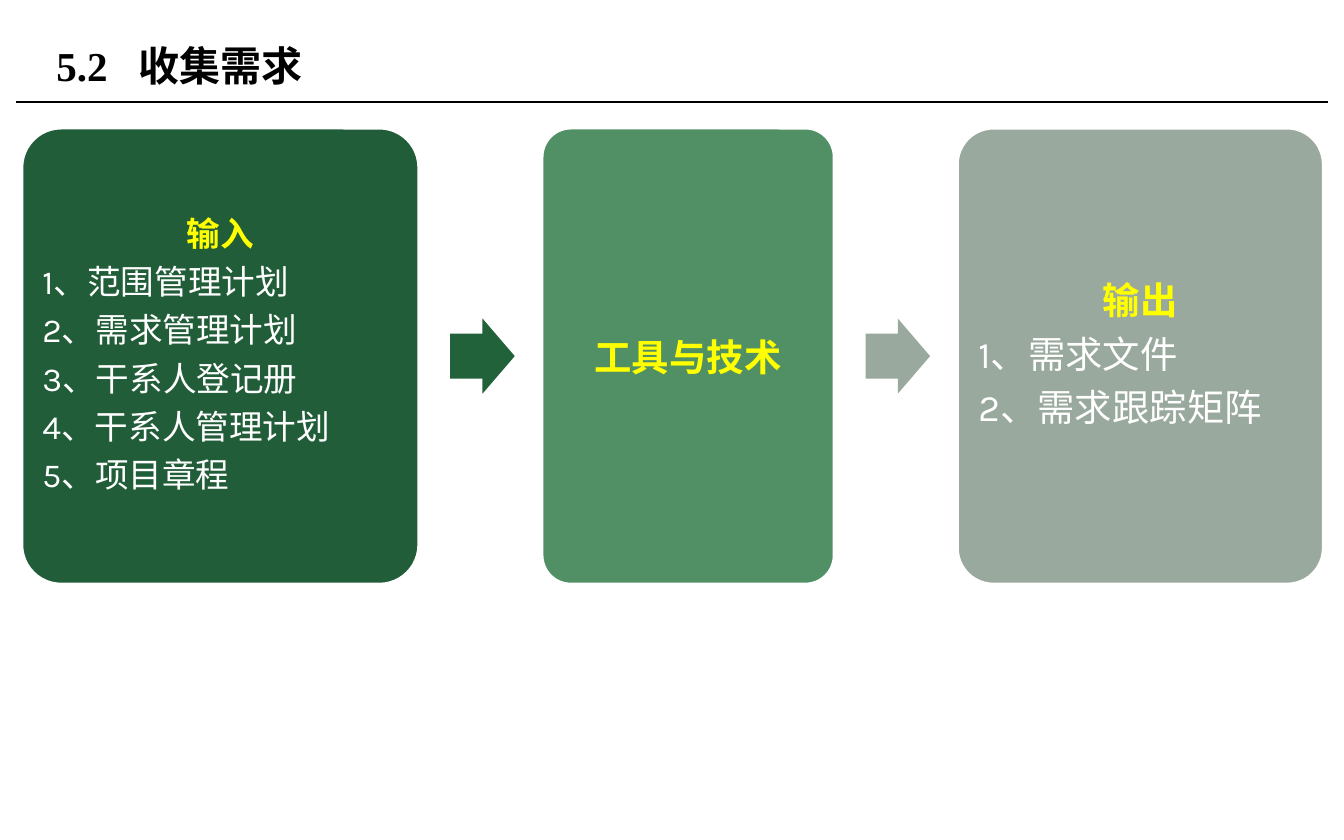
from lxml.etree import SubElement
from pptx import Presentation
from pptx.dml.color import RGBColor
from pptx.enum.shapes import MSO_CONNECTOR, MSO_SHAPE
from pptx.enum.text import MSO_ANCHOR, PP_ALIGN
from pptx.oxml.ns import qn
from pptx.util import Inches, Pt

WIDTH, HEIGHT = 10, 6.25
TITLE = ("5.2", "收集需求")
CARDS = [
    {"heading": "输入", "width": 2.96, "size": 18, "fill": "215D38", "arrow": "22623B", "inset": 0.07,
     "items": ["1、范围管理计划", "2、需求管理计划", "3、干系人登记册", "4、干系人管理计划", "5、项目章程"]},
    {"heading": "工具与技术", "width": 2.18, "size": 20, "fill": "519065", "arrow": "99A99D", "inset": 0.08,
     "items": []},
    {"heading": "输出", "width": 2.73, "size": 20, "fill": "9AA99E", "arrow": None, "inset": 0.08,
     "items": ["1、需求文件", "2、需求跟踪矩阵"]},
]
CARD_LEFT, CARD_TOP, CARD_HEIGHT = 0.16, 0.95, 3.4
ARROW_WIDTH, ARROW_HEIGHT = 0.48, 0.56
GAP_BEFORE, GAP_AFTER = 0.23, 0.2
RULE_MARGIN, RULE_TOP = 0.12, 0.76


def color(value):
    return RGBColor.from_string(value)


def style_font(font, name, size, value, bold):
    font.name = name
    font.size = Pt(size)
    font.bold = bold
    font.color.rgb = color(value)


def add_block(slide, preset, left, top, width, height, fill):
    shape = slide.shapes.add_shape(preset, Inches(left), Inches(top), Inches(width), Inches(height))
    shape.shadow.inherit = False
    shape.fill.solid()
    shape.fill.fore_color.rgb = color(fill)
    shape.line.fill.background()
    return shape


def add_title(slide):
    title = slide.shapes.title
    title.left, title.top, title.width, title.height = (Inches(n) for n in (0.32, 0.13, 6.38, 0.71))
    title.text_frame.vertical_anchor = MSO_ANCHOR.MIDDLE
    para = title.text_frame.paragraphs[0]
    para.alignment = PP_ALIGN.LEFT
    tabs = SubElement(para._p.get_or_add_pPr(), qn("a:tabLst"))
    SubElement(tabs, qn("a:tab"), pos=str(Inches(0.61)), algn="l")
    span = para.add_run()
    span.text = "\t".join(TITLE)
    style_font(span.font, "Times New Roman", 22, "000000", True)


def add_rule(slide):
    rule = slide.shapes.add_connector(
        MSO_CONNECTOR.STRAIGHT, Inches(RULE_MARGIN), Inches(RULE_TOP),
        Inches(WIDTH - RULE_MARGIN), Inches(RULE_TOP))
    rule.line.color.rgb = color("000000")
    rule.line.width = Pt(0.75)
    SubElement(rule._element.spPr, qn("a:effectLst"))


def add_card(slide, card, left):
    shape = add_block(slide, MSO_SHAPE.ROUNDED_RECTANGLE, left, CARD_TOP, card["width"], CARD_HEIGHT, card["fill"])
    shape.adjustments[0] = 0.1
    shape.line.color.rgb = color("FFFFFF")
    shape.line.width = Pt(2)
    frame = shape.text_frame
    frame.word_wrap = True
    frame.vertical_anchor = MSO_ANCHOR.MIDDLE
    inset = Inches(card["inset"])
    frame.margin_left = frame.margin_right = frame.margin_top = frame.margin_bottom = inset
    for index, text in enumerate([card["heading"]] + card["items"]):
        heading = index == 0
        para = frame.paragraphs[0] if heading else frame.add_paragraph()
        para.alignment = PP_ALIGN.CENTER if heading else PP_ALIGN.LEFT
        if card["items"]:
            para.line_spacing = 0.9
            para.space_after = Pt(card["size"] * 0.35)
        span = para.add_run()
        span.text = text
        style_font(span.font, "Karla", card["size"], "FFFF00" if heading else "FFFFFF", heading)


def main():
    deck = Presentation()
    deck.slide_width, deck.slide_height = Inches(WIDTH), Inches(HEIGHT)
    slide = deck.slides.add_slide(deck.slide_layouts[5])
    add_rule(slide)
    add_title(slide)
    left = CARD_LEFT
    arrow_top = CARD_TOP + (CARD_HEIGHT - ARROW_HEIGHT) / 2
    for card in CARDS:
        add_card(slide, card, left)
        left += card["width"] + GAP_BEFORE
        if card["arrow"]:
            arrow = add_block(slide, MSO_SHAPE.RIGHT_ARROW, left, arrow_top, ARROW_WIDTH, ARROW_HEIGHT, card["arrow"])
            arrow.adjustments[0] = 0.6
            arrow.adjustments[1] = 0.5
        left += ARROW_WIDTH + GAP_AFTER
    deck.save("out.pptx")


if __name__ == "__main__":
    main()
